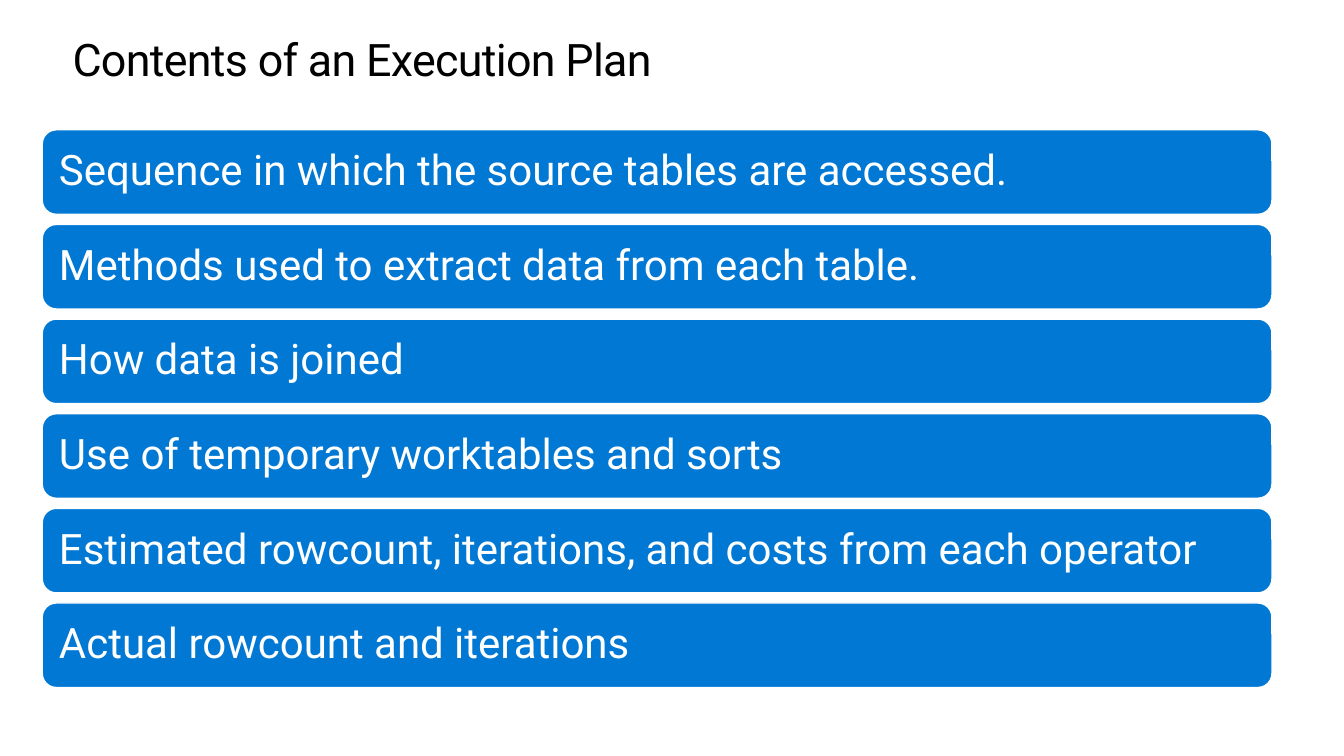
"""Build the slide listing the contents of an execution plan."""
import pptx
import pptx.util
import pptx.dml.color
import pptx.enum.shapes
import pptx.enum.text

Pt = pptx.util.Pt
RGBColor = pptx.dml.color.RGBColor
PP_ALIGN = pptx.enum.text.PP_ALIGN
MSO_ANCHOR = pptx.enum.text.MSO_ANCHOR

TITLE = "Contents of an Execution Plan"
ITEMS = [
    "Sequence in which the source tables are accessed.",
    "Methods used to extract data from each table.",
    "How data is joined",
    "Use of temporary worktables and sorts",
    "Estimated rowcount, iterations, and costs from each operator",
    "Actual rowcount and iterations",
]

FONT = "Roboto"
BLACK = RGBColor(0x00, 0x00, 0x00)
WHITE = RGBColor(0xFF, 0xFF, 0xFF)
BLUE = RGBColor(0x00, 0x78, 0xD4)

BAR_LEFT, BAR_TOP, BAR_WIDTH, BAR_HEIGHT = 30.2, 92.7, 878.4, 60.4
BAR_STEP = 67.6


def set_text(sp, text, size, color, anchor, inset, spacing):
    """Fill a shape with one left-aligned paragraph and return its run."""
    tf = sp.text_frame
    tf.word_wrap = True
    tf.auto_size = pptx.enum.text.MSO_AUTO_SIZE.NONE
    tf.vertical_anchor = anchor
    tf.margin_left = tf.margin_right = Pt(inset)
    tf.margin_top = tf.margin_bottom = Pt(inset)
    p = tf.paragraphs[0]
    p.alignment = PP_ALIGN.LEFT
    p.line_spacing = spacing
    r = p.add_run()
    r.text = text
    r.font.name = FONT
    r.font.size = Pt(size)
    r.font.color.rgb = color
    return r


def main():
    """Create the presentation and save it."""
    prs = pptx.Presentation()
    prs.slide_width, prs.slide_height = Pt(960), Pt(540)
    s = prs.slides.add_slide(prs.slide_layouts[5])

    title = s.shapes.title
    title.left, title.top = Pt(51.8), Pt(25.2)
    title.width, title.height = Pt(856.8), Pt(36.2)
    title.fill.solid()
    title.fill.fore_color.rgb = WHITE
    r = set_text(title, TITLE, 32, BLACK, MSO_ANCHOR.TOP, 0, Pt(36.2))
    r._r.get_or_add_rPr().set("spc", "-50")

    for i, item in enumerate(ITEMS):
        bar = s.shapes.add_shape(
            pptx.enum.shapes.MSO_SHAPE.ROUNDED_RECTANGLE,
            Pt(BAR_LEFT), Pt(BAR_TOP + i * BAR_STEP), Pt(BAR_WIDTH), Pt(BAR_HEIGHT))
        bar.shadow.inherit = False
        bar.fill.solid()
        bar.fill.fore_color.rgb = BLUE
        bar.line.color.rgb = WHITE
        bar.line.width = Pt(1)
        set_text(bar, item, 30, WHITE, MSO_ANCHOR.MIDDLE, 9, 0.9)

    prs.save("out.pptx")


if __name__ == "__main__":
    main()
